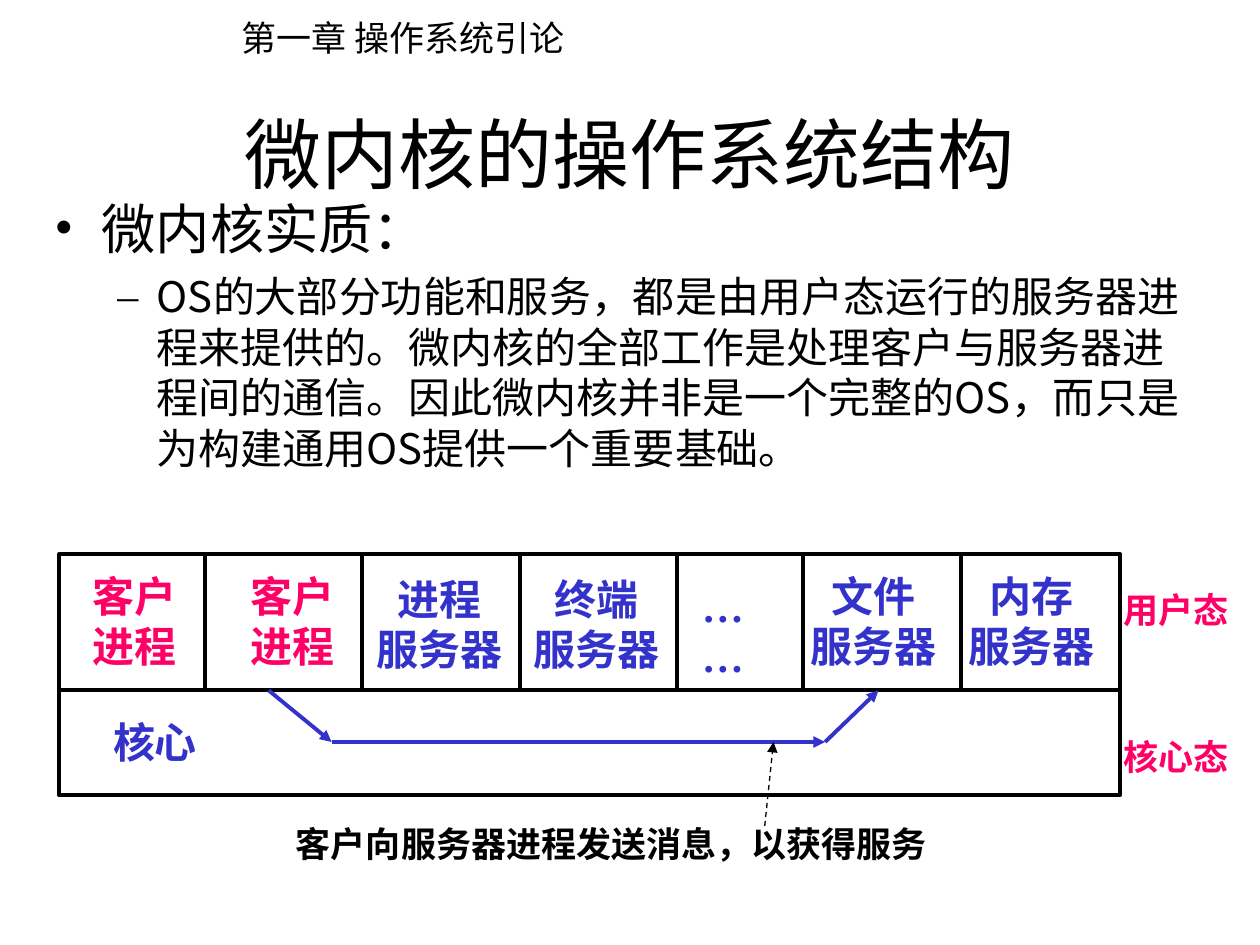
"""Build a slide on the microkernel operating system structure."""
from lxml import etree
from pptx import Presentation
from pptx.dml.color import RGBColor
from pptx.enum.dml import MSO_LINE
from pptx.enum.shapes import MSO_CONNECTOR, MSO_SHAPE
from pptx.enum.text import MSO_ANCHOR, PP_ALIGN
from pptx.oxml.ns import qn
from pptx.util import Pt

STRAIGHT = MSO_CONNECTOR.STRAIGHT
RECTANGLE = MSO_SHAPE.RECTANGLE
DASH = MSO_LINE.DASH
MIDDLE = MSO_ANCHOR.MIDDLE
LEFT, CENTER = PP_ALIGN.LEFT, PP_ALIGN.CENTER

SANS, SERIF = "Noto Sans CJK SC", "Times New Roman"
BLACK, PINK, BLUE = "000000", "FF0066", "3333CC"

CHAPTER = "第一章 操作系统引论"
TITLE = "微内核的操作系统结构"
# text, size, left margin, hanging indent, bullet, space before
BODY = [
    ("微内核实质：", 31, 27, 27, "•", 0),
    ("OS的大部分功能和服务，都是由用户态运行的服务器进程来提供的。"
     "微内核的全部工作是处理客户与服务器进程间的通信。"
     "因此微内核并非是一个完整的OS，而只是为构建通用OS提供一个重要基础。",
     24, 58.5, 22.5, "–", 6),
]
DIAGRAM_LEFT, DIAGRAM_TOP = 34, 316.5
USER_HEIGHT, KERNEL_HEIGHT = 78, 60
CELL_WIDTHS = [83, 90, 90, 90, 72, 90, 91]
CELLS = [
    ("客户\n进程", PINK, 42, 322.5, 70),
    ("客户\n进程", PINK, 132, 322.5, 70),
    ("进程\n服务器", BLUE, 206, 324, 90),
    ("终端\n服务器", BLUE, 296, 324, 90),
    ("文件\n服务器", BLUE, 454, 322.5, 90),
    ("内存\n服务器", BLUE, 544.5, 322.5, 90),
]
KERNEL = "核心"
MODES = [("用户态", 332.5), ("核心态", 416.5)]
MESSAGE_ROUTE = [(153.5, 394.5), (189.5, 424), (471.5, 424), (502, 394.5)]
CAPTION = "客户向服务器进程发送消息，以获得服务"


def color(value):
    return RGBColor.from_string(value)


def style(paragraph, size, font, fill, bold=False):
    for run in paragraph.runs:
        run.font.size = Pt(size)
        run.font.bold = bold
        run.font.color.rgb = color(fill)
        run.font.name = font
        east_asian = etree.SubElement(run.font._element, qn("a:ea"))
        east_asian.set("typeface", SANS)


def add_text(slide, text, box, size, font=SERIF, fill=BLACK, bold=True,
             align=LEFT, wrap=True):
    shape = slide.shapes.add_textbox(*map(Pt, box))
    text_frame = shape.text_frame
    text_frame.word_wrap = wrap
    text_frame.text = text
    for paragraph in text_frame.paragraphs:
        paragraph.alignment = align
        style(paragraph, size, font, fill, bold)
    return shape


def add_line(slide, start, end, fill=BLACK, width=2.25, arrow=False):
    connector = slide.shapes.add_connector(STRAIGHT, *map(Pt, (*start, *end)))
    connector.line.color.rgb = color(fill)
    connector.line.width = Pt(width)
    if arrow:
        line = connector.line._get_or_add_ln()
        etree.SubElement(line, qn("a:tailEnd")).set("type", "triangle")
    etree.SubElement(connector._element.spPr, qn("a:effectLst"))
    return connector


def add_body(slide):
    shape = slide.shapes.add_textbox(Pt(24), Pt(108), Pt(666), Pt(186))
    text_frame = shape.text_frame
    text_frame.word_wrap = True
    text_frame.text = "\n".join(item[0] for item in BODY)
    for level, (paragraph, item) in enumerate(zip(text_frame.paragraphs, BODY)):
        _, size, margin, hanging, bullet, before = item
        paragraph.level = level
        paragraph.space_before = Pt(before)
        properties = paragraph._p.get_or_add_pPr()
        properties.set("marL", str(Pt(margin)))
        properties.set("indent", str(-Pt(hanging)))
        etree.SubElement(properties, qn("a:buFont")).set("typeface", SERIF)
        etree.SubElement(properties, qn("a:buChar")).set("char", bullet)
        style(paragraph, size, SANS, BLACK)


def add_diagram(slide):
    boundary = DIAGRAM_TOP + USER_HEIGHT
    for top, height in ((DIAGRAM_TOP, USER_HEIGHT), (boundary, KERNEL_HEIGHT)):
        row = slide.shapes.add_shape(
            RECTANGLE, Pt(DIAGRAM_LEFT), Pt(top), Pt(sum(CELL_WIDTHS)), Pt(height))
        row.shadow.inherit = False
        row.fill.background()
        row.line.color.rgb = color(BLACK)
        row.line.width = Pt(2.25)

    divider = DIAGRAM_LEFT
    for width in CELL_WIDTHS[:-1]:
        divider += width
        add_line(slide, (divider, DIAGRAM_TOP), (divider, boundary))

    for text, fill, left, top, width in CELLS:
        add_text(slide, text, (left, top, width, 65), 24, fill=fill, align=CENTER)
    add_text(slide, "……", (394, 328, 60, 65), 24, fill=BLUE)
    add_text(slide, KERNEL, (57.5, 406, 70, 36), 24, fill=BLUE)
    for text, top in MODES:
        add_text(slide, text, (635, top, 80, 36), 20, fill=PINK)

    for start, end in zip(MESSAGE_ROUTE, MESSAGE_ROUTE[1:]):
        add_line(slide, start, end, BLUE, arrow=True)
    pointer = add_line(slide, (437, 472), (442, 424), width=0.75, arrow=True)
    pointer.line.dash_style = DASH
    add_text(slide, CAPTION, (162, 466.5, 456, 32), 20)


def main():
    presentation = Presentation()
    presentation.slide_width, presentation.slide_height = Pt(720), Pt(540)
    slide = presentation.slides.add_slide(presentation.slide_layouts[6])
    add_text(slide, CHAPTER, (131, 6, 204, 32), 20, SANS, bold=False, wrap=False)
    title = add_text(slide, TITLE, (54, 42, 612, 90), 44, bold=False, align=CENTER)
    title.text_frame.vertical_anchor = MIDDLE
    add_body(slide)
    add_diagram(slide)
    presentation.save("out.pptx")


if __name__ == "__main__":
    main()
